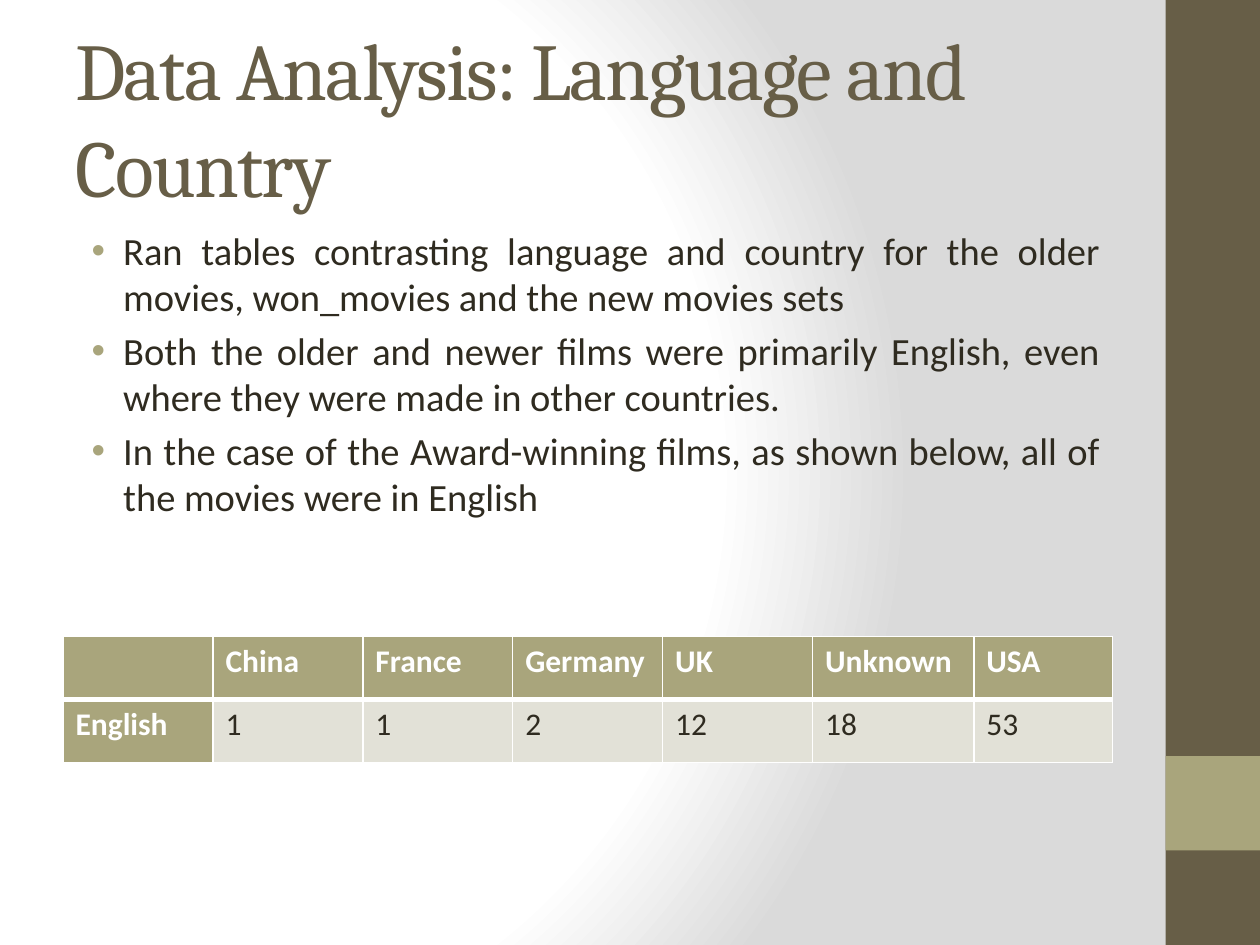
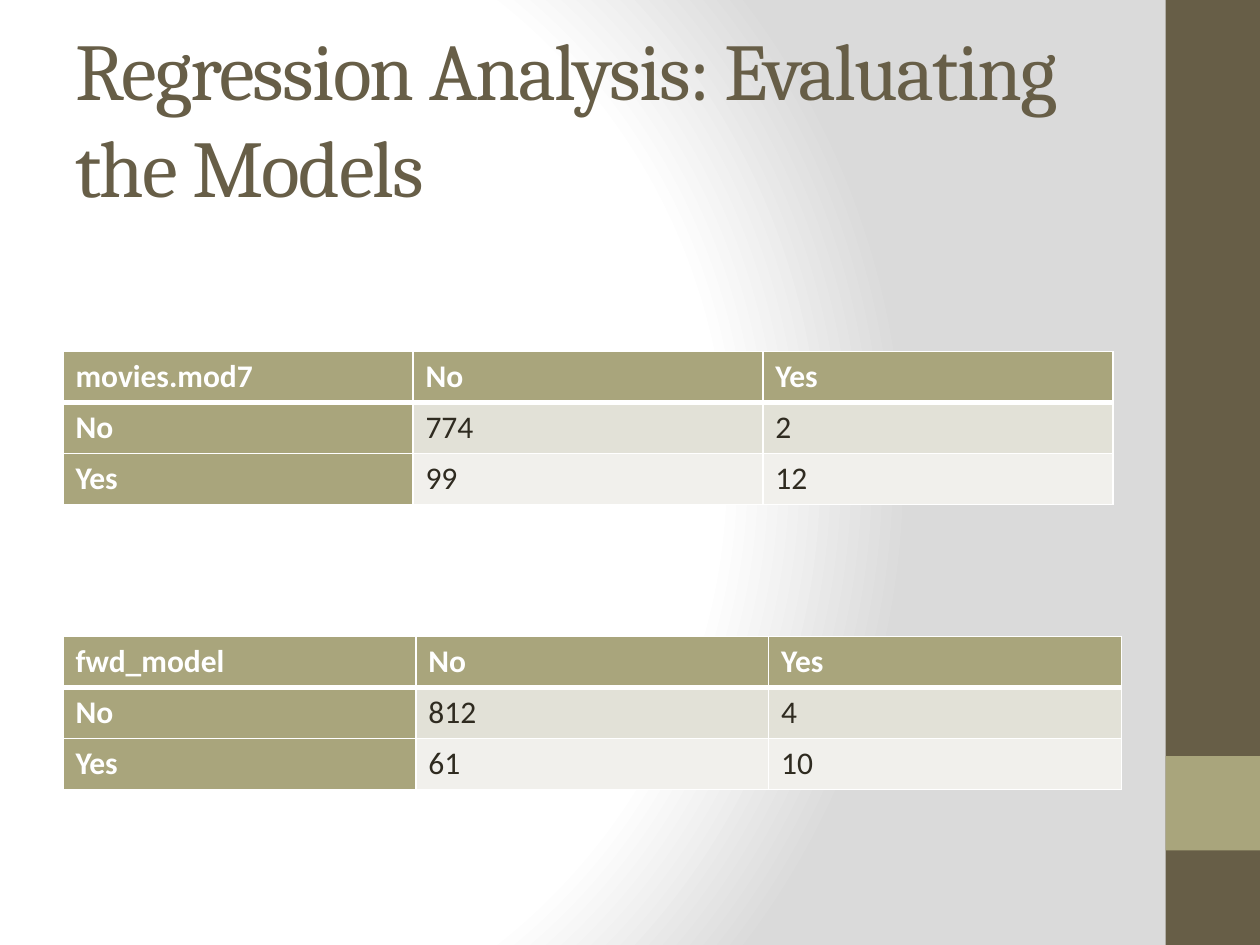
from dataclasses import dataclass

import lxml.etree
import pptx
import pptx.dml.color
import pptx.enum.shapes
import pptx.enum.text
import pptx.oxml
import pptx.oxml.ns
import pptx.presentation
import pptx.slide
import pptx.table
import pptx.text.text
import pptx.util


@dataclass(frozen=True)
class Theme:
    brown: str = "675E47"
    olive: str = "A9A57C"
    ink: str = "2F2B20"
    white: str = "FFFFFF"
    gray: str = "DADADA"
    row_tints: tuple[str, ...] = ("E2E1D7", "F1F0EC")
    heading_font: str = "Cambria"
    body_font: str = "Calibri"
    title_size: float = 46
    body_size: float = 22
    table_size: float = 18
    title_spacing: float = -1
    thin_line: float = 1
    thick_line: float = 3


@dataclass(frozen=True)
class Area:
    """A place on the grid, in columns and rows."""
    left: float
    top: float
    width: float
    height: float


@dataclass(frozen=True)
class Band:
    area: Area
    color: str


@dataclass(frozen=True)
class Grid:
    """A table: its place, its column widths, its row height and its values."""
    left: float
    top: float
    columns: tuple[float, ...]
    row_height: float
    values: tuple[tuple[str, ...], ...]


@dataclass(frozen=True)
class Page:
    title: str
    bullets: tuple[str, ...] = ()
    tables: tuple[Grid, ...] = ()


THEME = Theme()
SLIDE_WIDTH, SLIDE_HEIGHT = pptx.util.Inches(10), pptx.util.Inches(7.5)
COLUMNS, ROWS = 40, 30
LEFT = 2

# Shared places
TITLE_AREA = Area(LEFT, 1.2, 33.32, 5)
BODY_AREA = Area(LEFT, 7, 33.32, 21)
BANDS = (
    Band(Area(37, 0, 3, ROWS), THEME.brown),
    Band(Area(37, 24, 3, 3), THEME.olive),
)
LOWER_TABLE_TOP = 20.2

PAGES = (
    Page(
        "Data Analysis: Language and Country",
        bullets=(
            "Ran tables contrasting language and country for the older movies, "
            "won_movies and the new movies sets",
            "Both the older and newer films were primarily English, even where "
            "they were made in other countries.",
            "In the case of the Award-winning films, as shown below, all of the "
            "movies were in English",
        ),
        tables=(
            Grid(LEFT, LOWER_TABLE_TOP, (4.76,) * 5 + (5.12, 4.4), 2, (
                ("", "China", "France", "Germany", "UK", "Unknown", "USA"),
                ("English", "1", "1", "2", "12", "18", "53"),
            )),
        ),
    ),
    Page(
        "Regression Analysis: Evaluating the Models",
        tables=(
            Grid(LEFT, 11.16, (11.11,) * 3, 1.62, (
                ("movies.mod7", "No", "Yes"),
                ("No", "774", "2"),
                ("Yes", "99", "12"),
            )),
            Grid(LEFT, LOWER_TABLE_TOP, (11.2,) * 3, 1.62, (
                ("fwd_model", "No", "Yes"),
                ("No", "812", "4"),
                ("Yes", "61", "10"),
            )),
        ),
    ),
)


def across(columns: float) -> int:
    return round(SLIDE_WIDTH * columns / COLUMNS)


def down(rows: float) -> int:
    return round(SLIDE_HEIGHT * rows / ROWS)


def place(area: Area) -> tuple[int, int, int, int]:
    return across(area.left), down(area.top), across(area.width), down(area.height)


def rgb(color: str) -> pptx.dml.color.RGBColor:
    return pptx.dml.color.RGBColor.from_string(color)


def add_child(parent: lxml.etree.ElementBase, tag: str, **attributes: str) -> lxml.etree.ElementBase:
    child = lxml.etree.SubElement(parent, pptx.oxml.ns.qn(tag))
    for name, value in attributes.items():
        child.set(name, value)
    return child


def style(paragraph: pptx.text.text._Paragraph, name: str, size: float, color: str,
          bold: bool = False) -> None:
    font = paragraph.font
    font.name, font.size, font.bold = name, pptx.util.Pt(size), bold
    font.color.rgb = rgb(color)


# Background and side bands
def paint_background(slide: pptx.slide.Slide) -> None:
    slide.background.fill.gradient()
    properties = slide.element.cSld.find(".//" + pptx.oxml.ns.qn("p:bgPr"))
    gradient = properties.find(pptx.oxml.ns.qn("a:gradFill"))
    for child in list(gradient):
        gradient.remove(child)
    stops = add_child(gradient, "a:gsLst")
    for share, color in ((0, THEME.white), (75, THEME.white), (100, THEME.gray)):
        stop = add_child(stops, "a:gs", pos=str(share * 1000))
        add_child(stop, "a:srgbClr", val=color)
    circle = add_child(gradient, "a:path", path="circle")
    add_child(circle, "a:fillToRect", l="20000", t="50000", r="100000", b="50000")


def add_band(slide: pptx.slide.Slide, band: Band) -> None:
    box = slide.shapes.add_shape(pptx.enum.shapes.MSO_SHAPE.RECTANGLE, *place(band.area))
    box.shadow.inherit = False
    box.fill.solid()
    box.fill.fore_color.rgb = rgb(band.color)
    box.line.fill.background()


# Text
def add_title(slide: pptx.slide.Slide, title: str) -> None:
    frame = slide.shapes.add_textbox(*place(TITLE_AREA)).text_frame
    frame.word_wrap = True
    frame.vertical_anchor = pptx.enum.text.MSO_ANCHOR.MIDDLE
    paragraph = frame.paragraphs[0]
    paragraph.text = title
    style(paragraph, THEME.heading_font, THEME.title_size, THEME.brown)
    letters = paragraph._p.pPr.find(pptx.oxml.ns.qn("a:defRPr"))
    letters.set("spc", str(round(THEME.title_spacing * 100)))


def add_bullets(slide: pptx.slide.Slide, bullets: tuple[str, ...]) -> None:
    frame = slide.shapes.add_textbox(*place(BODY_AREA)).text_frame
    frame.word_wrap = True
    for index, text in enumerate(bullets):
        paragraph = frame.add_paragraph() if index else frame.paragraphs[0]
        paragraph.text = text
        properties = paragraph._p.get_or_add_pPr()
        properties.set("marL", str(pptx.util.Inches(0.38)))
        properties.set("indent", str(pptx.util.Inches(-0.25)))
        add_child(add_child(properties, "a:buClr"), "a:srgbClr", val=THEME.olive)
        add_child(properties, "a:buFont", typeface="Arial")
        add_child(properties, "a:buChar", char="•")
        paragraph.alignment = pptx.enum.text.PP_ALIGN.JUSTIFY
        paragraph.space_before = pptx.util.Pt(THEME.body_size * 0.2)
        style(paragraph, THEME.body_font, THEME.body_size, THEME.ink)


# Tables
def add_borders(cell: pptx.table._Cell, row: int) -> None:
    """White lines all round, with a thick one under the header row."""
    properties = cell._tc.get_or_add_tcPr()
    widths = {
        "a:lnL": THEME.thin_line,
        "a:lnR": THEME.thin_line,
        "a:lnT": THEME.thick_line if row == 1 else THEME.thin_line,
        "a:lnB": THEME.thick_line if row == 0 else THEME.thin_line,
    }
    for tag, width in widths.items():
        line = add_child(properties, tag, w=str(pptx.util.Pt(width)))
        add_child(add_child(line, "a:solidFill"), "a:srgbClr", val=THEME.white)


def add_grid(slide: pptx.slide.Slide, grid: Grid) -> None:
    area = Area(grid.left, grid.top, sum(grid.columns), grid.row_height * len(grid.values))
    table = slide.shapes.add_table(len(grid.values), len(grid.columns), *place(area)).table
    table.first_col = True
    for column, width in zip(table.columns, grid.columns):
        column.width = across(width)
    for row, values in enumerate(grid.values):
        table.rows[row].height = down(grid.row_height)
        for column, value in enumerate(values):
            heading = row == 0 or column == 0
            cell = table.cell(row, column)
            add_borders(cell, row)
            cell.fill.solid()
            tint = THEME.row_tints[(row - 1) % len(THEME.row_tints)]
            cell.fill.fore_color.rgb = rgb(THEME.olive if heading else tint)
            paragraph = cell.text_frame.paragraphs[0]
            if value:
                paragraph.text = value
            style(paragraph, THEME.body_font, THEME.table_size,
                  THEME.white if heading else THEME.ink, bold=heading)


def add_page(deck: pptx.presentation.Presentation, page: Page) -> None:
    slide = deck.slides.add_slide(deck.slide_layouts[6])
    paint_background(slide)
    for band in BANDS:
        add_band(slide, band)
    add_title(slide, page.title)
    if page.bullets:
        add_bullets(slide, page.bullets)
    for grid in page.tables:
        add_grid(slide, grid)


def main() -> None:
    deck = pptx.Presentation()
    deck.slide_width, deck.slide_height = SLIDE_WIDTH, SLIDE_HEIGHT
    for page in PAGES:
        add_page(deck, page)
    deck.save("out.pptx")


if __name__ == "__main__":
    main()
